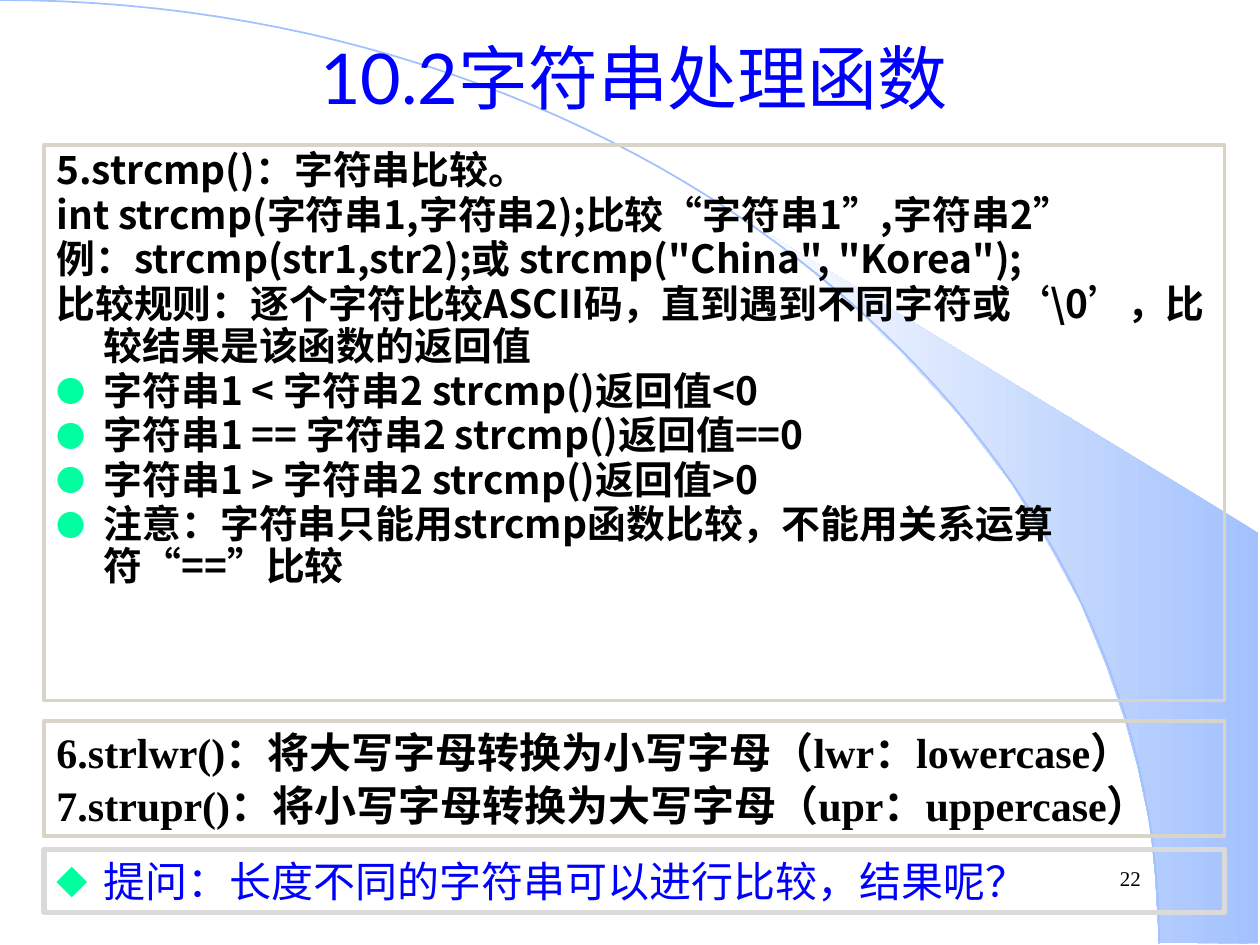
from lxml.etree import SubElement
from pptx import Presentation
from pptx.dml.color import RGBColor as RGB
from pptx.enum.text import MSO_ANCHOR as Anchor, MSO_AUTO_SIZE as AutoSize, PP_ALIGN as Align
from pptx.oxml.ns import qn
from pptx.util import Pt

THEME = {
    "black": RGB(0, 0, 0),
    "blue": RGB(0, 0, 255),
    "white": RGB(255, 255, 255),
    "sky": RGB(0xA2, 0xC1, 0xFE),
    "sand": RGB(0xD8, 0xD5, 0xC8),
    "grey": RGB(0xDA, 0xDA, 0xDA),
    "bullet": "00FF9F",
    "sans": "Noto Sans CJK SC",
    "serif": "Times New Roman",
    "title_font": "Lato",
    "title_size": 40,
    "body_size": 22.2,
    "note_size": 24,
    "number_size": 12,
}

TITLE = "10.2字符串处理函数"
SLIDE_NUMBER = "22"
STRCMP = [
    ("", "5.strcmp()：字符串比较。"),
    ("", "int strcmp(字符串1,字符串2);比较“字符串1”,字符串2”"),
    ("", '例：strcmp(str1,str2);或 strcmp("China", "Korea");'),
    ("", "比较规则：逐个字符比较ASCII码，直到遇到不同字符或‘\\0’，比较结果是该函数的返回值"),
    ("●", "字符串1 < 字符串2 strcmp()返回值<0"),
    ("●", "字符串1 == 字符串2 strcmp()返回值==0"),
    ("●", "字符串1 > 字符串2 strcmp()返回值>0"),
    ("●", "注意：字符串只能用strcmp函数比较，不能用关系运算符“==”比较"),
]
CASE_FUNCTIONS = [
    ("", "6.strlwr()：将大写字母转换为小写字母（lwr：lowercase）"),
    ("", "7.strupr()：将小写字母转换为大写字母（upr：uppercase）"),
]
QUESTION = [("◆", "提问：长度不同的字符串可以进行比较，结果呢？")]

PANEL_LEFT, PANEL_WIDTH, INDENT = 25.2, 674.6, 27
PANELS = [
    dict(top=82.8, height=317.5, lines=STRCMP, border="sand", weight=2.25,
         font="sans", size="body_size", color="black", bold=True, spacing=0.9),
    dict(top=485.3, height=36, lines=QUESTION, border="grey", weight=3,
         font="serif", size="note_size", color="blue", bold=False, spacing=1),
    dict(top=411.8, height=66.2, lines=CASE_FUNCTIONS, border="sand", weight=2.25,
         font="serif", size="note_size", color="black", bold=True, spacing=1),
]

BEAM = [
    (662.4, 538.6), (719.3, 539.3), (719.3, 304.6), (424.1, 124.6), (449.3, 143.3),
    (470.2, 159.8), (493.2, 180), (515.5, 201.6), (548.6, 237.6), (578.2, 276.5),
    (599, 310.3), (617.8, 344.9), (632.2, 380.2), (643, 411.8), (650.2, 438.5),
    (657.4, 472.3), (660.2, 501.1),
]
ARC_CONTROLS = [(0, 0), (365.8, 0), (662.4, 241.2), (662.4, 539.3)]
ARC_STEPS = 60


def bezier_point(controls, t):
    weights = ((1 - t) ** 3, 3 * t * (1 - t) ** 2, 3 * t * t * (1 - t), t ** 3)
    return tuple(sum(w * point[axis] for w, point in zip(weights, controls)) for axis in (0, 1))


def add_outline(slide, points, close):
    points = [(Pt(x), Pt(y)) for x, y in points]
    builder = slide.shapes.build_freeform(*points[0])
    builder.add_line_segments(points[1:], close=close)
    shape = builder.convert_to_shape()
    shape.shadow.inherit = False
    return shape


def style_font(paragraph, font, size, color, bold=False):
    paragraph.font.name = THEME[font]
    paragraph.font.size = Pt(THEME[size])
    paragraph.font.color.rgb = THEME[color]
    paragraph.font.bold = bold


def set_indent(paragraph, bullet):
    properties = paragraph._p.get_or_add_pPr()
    properties.set("marL", str(Pt(INDENT)))
    properties.set("indent", str(-Pt(INDENT)))
    if not bullet:
        SubElement(properties, qn("a:buNone"))
        return
    color = SubElement(properties, qn("a:buClr"))
    SubElement(color, qn("a:srgbClr"), val=THEME["bullet"])
    SubElement(properties, qn("a:buSzPct"), val="75000")
    SubElement(properties, qn("a:buFont"), typeface=THEME["sans"])
    SubElement(properties, qn("a:buChar"), char=bullet)


def add_panel(slide, panel):
    box = slide.shapes.add_textbox(
        Pt(PANEL_LEFT), Pt(panel["top"]), Pt(PANEL_WIDTH), Pt(panel["height"]))
    box.line.color.rgb = THEME[panel["border"]]
    box.line.width = Pt(panel["weight"])
    frame = box.text_frame
    frame.word_wrap = True
    for index, (bullet, text) in enumerate(panel["lines"]):
        paragraph = frame.add_paragraph() if index else frame.paragraphs[0]
        paragraph.text = text
        set_indent(paragraph, bullet)
        paragraph.line_spacing = panel["spacing"]
        if index:
            paragraph.space_before = Pt(1.5)
        style_font(paragraph, panel["font"], panel["size"], panel["color"], panel["bold"])


def add_background(slide):
    beam = add_outline(slide, BEAM, close=True)
    beam.line.fill.background()
    beam.fill.gradient()
    beam.fill.gradient_angle = 180
    for stop, color in zip(beam.fill.gradient_stops, ("sky", "white")):
        stop.color.rgb = THEME[color]
    arc_points = [bezier_point(ARC_CONTROLS, step / ARC_STEPS) for step in range(ARC_STEPS + 1)]
    arc = add_outline(slide, arc_points, close=False)
    arc.fill.background()
    arc.line.color.rgb = THEME["sky"]
    arc.line.width = Pt(1)


def add_slide_number(slide):
    box = slide.shapes.add_textbox(Pt(632.9), Pt(491), Pt(64.8), Pt(21.6))
    paragraph = box.text_frame.paragraphs[0]
    paragraph.text = SLIDE_NUMBER
    style_font(paragraph, "serif", "number_size", "black")


def place_title(slide):
    title = slide.shapes.title
    title.element.getparent().append(title.element)
    title.left, title.top, title.width, title.height = Pt(110.2), Pt(15.1), Pt(504), Pt(57.6)
    frame = title.text_frame
    frame.text = TITLE
    frame.auto_size = AutoSize.NONE
    frame.vertical_anchor = Anchor.MIDDLE
    paragraph = frame.paragraphs[0]
    paragraph.alignment = Align.CENTER
    style_font(paragraph, "title_font", "title_size", "blue")


def main():
    presentation = Presentation()
    presentation.slide_width, presentation.slide_height = Pt(720), Pt(540)
    slide = presentation.slides.add_slide(presentation.slide_layouts[5])
    add_background(slide)
    add_slide_number(slide)
    place_title(slide)
    for panel in PANELS:
        add_panel(slide, panel)
    presentation.save("out.pptx")


if __name__ == "__main__":
    main()
